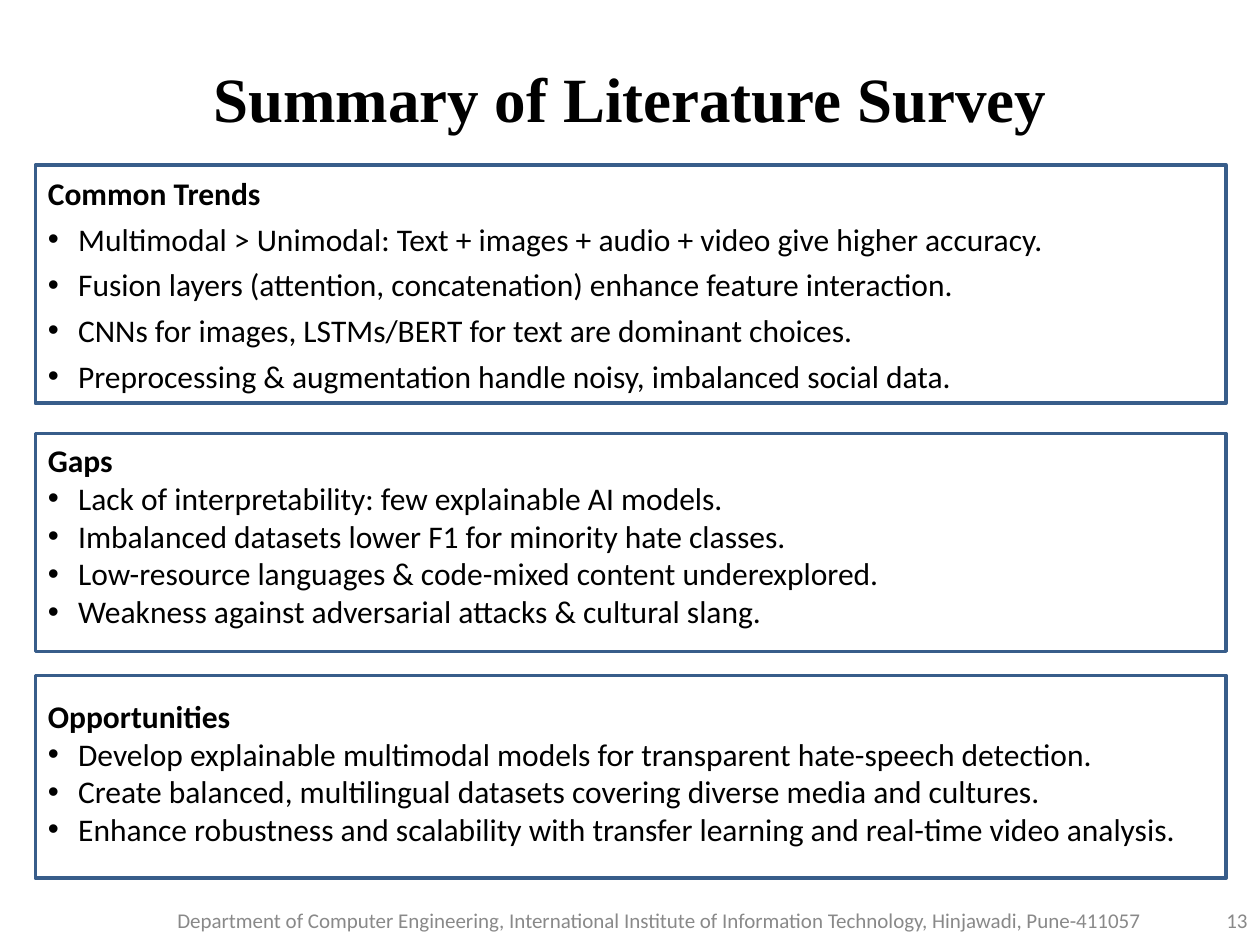
from lxml.etree import SubElement
from pptx import Presentation
from pptx.dml.color import RGBColor
from pptx.enum.shapes import MSO_SHAPE as Shape
from pptx.enum.text import MSO_ANCHOR as Anchor, MSO_AUTO_SIZE as AutoSize, PP_ALIGN as Align
from pptx.oxml.ns import qn
from pptx.util import Inches, Pt

LEFT, WIDTH = 0.28, 9.45
TEXT_INDENT = Inches(0.24)


def write(paragraph, text, color, **formats):
    run = paragraph.add_run()
    run.text = text
    run.font.color.rgb = RGBColor.from_string(color)
    for name, value in formats.items():
        setattr(run.font, name, value)


def add_bullet(paragraph, char):
    """Set the bullet and hanging indent; char None means no bullet."""
    props = paragraph._p.get_or_add_pPr()
    indent = TEXT_INDENT if char else 0
    props.set("marL", str(indent))
    props.set("indent", str(-indent))
    if char:
        color = SubElement(props, qn("a:buClr"))
        SubElement(color, qn("a:srgbClr"), val="000000")
        SubElement(props, qn("a:buFont"), typeface="Arial")
        SubElement(props, qn("a:buChar"), char=char)
    else:
        SubElement(props, qn("a:buNone"))


prs = Presentation()
prs.slide_width, prs.slide_height = Inches(10), Inches(7.5)
slide = prs.slides.add_slide(prs.slide_layouts.get_by_name("Comparison"))

title = slide.shapes.title
title.left, title.top, title.width, title.height = map(Inches, (0.5, 0.02, 9, 1.5))
title.text_frame.vertical_anchor = Anchor.MIDDLE
title.text_frame.auto_size = AutoSize.NONE
heading = title.text_frame.paragraphs[0]
heading.alignment = Align.CENTER
write(heading, "Summary of Literature Survey", "000000",
      name="Times New Roman", size=Pt(36), bold=True)

# text top, text height, frame top, frame height, space before, lines
sections = [
    (1.33, 2.05, 1.31, 1.89, 4.5, [
        "Common Trends",
        "Multimodal > Unimodal: Text + images + audio + video give higher accuracy.",
        "Fusion layers (attention, concatenation) enhance feature interaction.",
        "CNNs for images, LSTMs/BERT for text are dominant choices.",
        "Preprocessing & augmentation handle noisy, imbalanced social data.",
    ]),
    (3.45, 1.9, 3.44, 1.73, 0, [
        "Gaps",
        "Lack of interpretability: few explainable AI models.",
        "Imbalanced datasets lower F1 for minority hate classes.",
        "Low-resource languages & code-mixed content underexplored.",
        "Weakness against adversarial attacks & cultural slang.",
    ]),
    (5.48, 1.6, 5.36, 1.61, 0, [
        "Opportunities",
        "Develop explainable multimodal models for transparent hate-speech detection.",
        "Create balanced, multilingual datasets covering diverse media and cultures.",
        "Enhance robustness and scalability with transfer learning and real-time video analysis.",
    ]),
]

*bodies, unused = list(slide.placeholders)[1:]
unused.element.getparent().remove(unused.element)

for body, (top, height, frame_top, frame_height, gap, lines) in zip(bodies, sections):
    body.left, body.top, body.width, body.height = map(Inches, (LEFT, top, WIDTH, height))
    frame_text = body.text_frame
    frame_text.vertical_anchor = Anchor.TOP
    frame_text.auto_size = AutoSize.NONE
    for number, line in enumerate(lines):
        paragraph = frame_text.add_paragraph() if number else frame_text.paragraphs[0]
        add_bullet(paragraph, "•" if number else None)
        paragraph.space_before = Pt(gap if number else 0)
        write(paragraph, line, "000000", name="Calibri", size=Pt(18), bold=number == 0)

    border = slide.shapes.add_shape(
        Shape.RECTANGLE, *map(Inches, (LEFT, frame_top, WIDTH, frame_height)))
    border.shadow.inherit = False
    border.fill.background()
    border.line.color.rgb = RGBColor.from_string("385D8A")
    border.line.width = Pt(2)

footers = [
    (0.9, 8.67, Align.CENTER,
     "Department of Computer Engineering, International Institute of Information Technology, "
     "Hinjawadi, Pune-411057"),
    (7.67, 2.33, Align.RIGHT, "13"),
]
for left, width, alignment, text in footers:
    footer = slide.shapes.add_textbox(*map(Inches, (left, 7.1, width, 0.4))).text_frame
    footer.word_wrap = True
    footer.vertical_anchor = Anchor.MIDDLE
    footer.paragraphs[0].alignment = alignment
    write(footer.paragraphs[0], text, "898989", name="Calibri", size=Pt(12))

prs.save("out.pptx")
